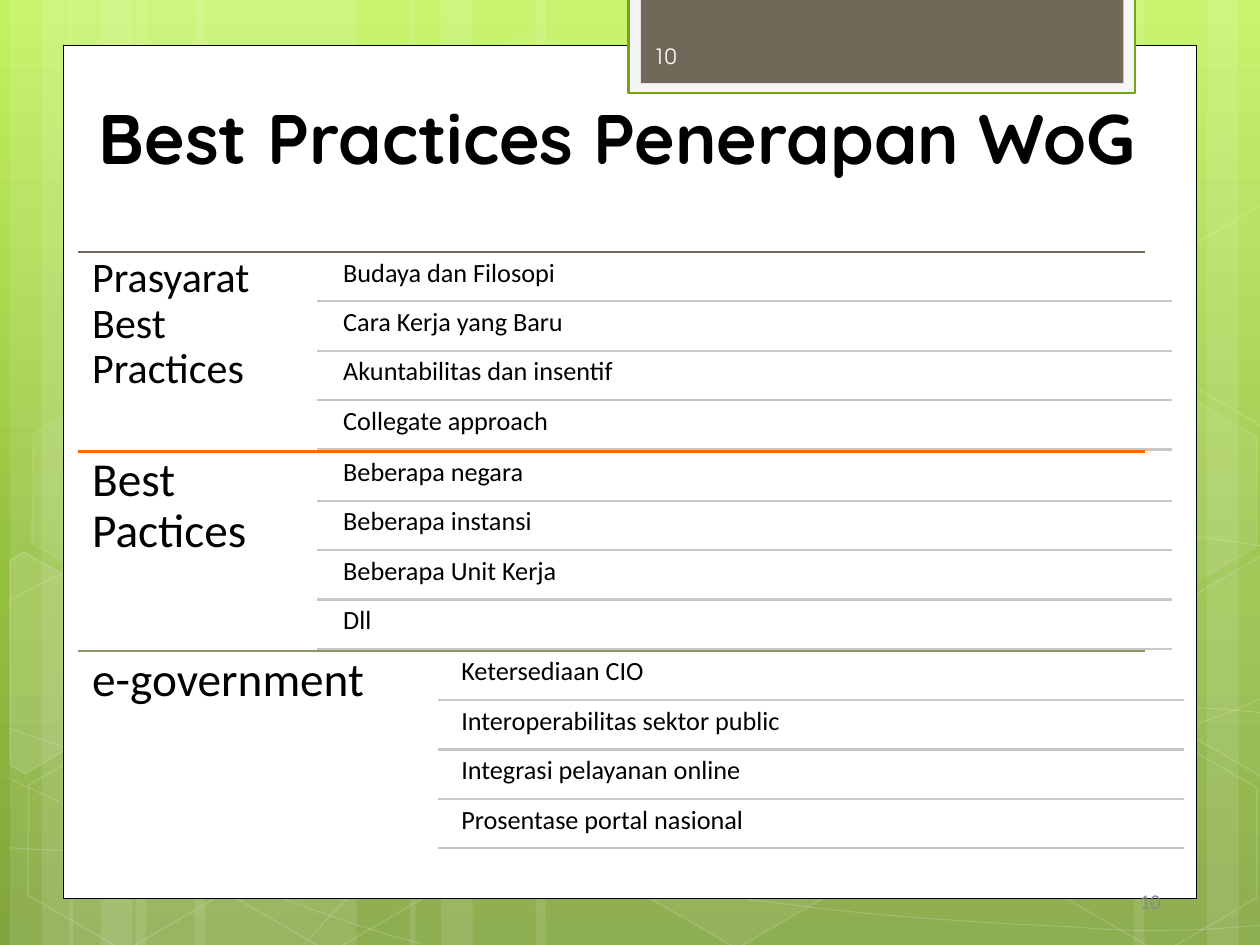
import copy
import math
from dataclasses import dataclass

import lxml.etree
import pptx
import pptx.dml.color
import pptx.enum.shapes
import pptx.enum.text
import pptx.oxml.ns
import pptx.util

Cm = pptx.util.Cm
Pt = pptx.util.Pt
qn = pptx.oxml.ns.qn
SHAPE = pptx.enum.shapes.MSO_SHAPE
ALIGN = pptx.enum.text.PP_ALIGN
ANCHOR = pptx.enum.text.MSO_ANCHOR


@dataclass(frozen=True)
class Theme:
    white: str = "FFFFFF"
    ink: str = "000000"
    brown: str = "71685A"
    orange: str = "FF6700"
    olive: str = "909465"
    tab_back: str = "F5F5F5"
    tab_edge: str = "74A510"
    row_rule: str = "C9C7C4"
    footer: str = "8B8B8B"
    tab_text: str = "FEFEFE"
    gradient: tuple = ((0, "C3F35F"), (0.62, "93BF3F"), (1, "81A53E"))
    title_font: str = "Quicksand"
    body_font: str = "Calibri"
    tab_font: str = "TeX Gyre Adventor"
    title_size: float = 40
    item_size: float = 15
    number_size: float = 12
    rule_width: float = 1.25


THEME = Theme()
WIDTH, HEIGHT = 25.4, 19.05
SECTION_HEIGHT = 4.02
TILT = 30

# Bezier chains in cm: a start point, then three points per segment
CURVES = [
    [(.18, 17.09), (1.55, 17.17), (2.92, 17.25), (4.83, 17.22), (6.73, 17.2), (9.09, 17.15),
     (11.63, 16.89), (14.17, 16.64), (17.78, 16.15), (20.12, 15.67), (22.43, 15.19),
     (24.82, 14.43), (25.58, 14)],
    [(.18, 12.12), (.91, 11.71), (1.65, 11.33), (3.07, 10.95), (4.52, 10.57), (6.58, 10.01),
     (8.81, 9.83), (11.07, 9.65), (13.82, 9.63), (16.61, 9.83), (19.41, 10.03),
     (24.05, 10.82), (25.58, 11.02)],
    [(.15, 15.67), (3.07, 17.07), (6.27, 18.47), (8.48, 19.02)],
    [(.18, 14.68), (.97, 14.96), (1.78, 15.24), (3.25, 15.65), (4.72, 16.03), (6.93, 16.66),
     (9.07, 17.09), (11.18, 17.53), (13.84, 17.98), (15.95, 18.24), (18.06, 18.52),
     (20.32, 18.62), (21.67, 18.69), (22.99, 18.8), (23.34, 18.75), (24, 18.75),
     (24.66, 18.72), (25.12, 18.67), (25.58, 18.64)],
    [(6.15, 19.02), (6.6, 18.52), (7.06, 18.01), (7.67, 17.55), (8.28, 17.09), (9.14, 16.59),
     (9.86, 16.23), (10.57, 15.88), (11, 15.72), (11.94, 15.47), (12.85, 15.21),
     (14.55, 14.86), (15.44, 14.68), (16.36, 14.5), (16.48, 14.5), (17.27, 14.45),
     (18.06, 14.38), (19.3, 14.3), (20.17, 14.27), (21.5, 14.25), (22.8, 14.27),
     (24.21, 14.27), (24.66, 14.3), (25.1, 14.33), (25.55, 14.38)],
]
# Left, top, fill opacity, line opacity
HEXAGONS = [(8.48, .91, 4, 8), (12.62, 14.96, 6, 12), (.28, 15.01, 0, 12), (.36, 7.92, 7, 8),
            (4.42, 15.04, 0, 12), (19.13, 11.51, 10, 12), (21.18, 15.06, 0, 12),
            (21.18, 7.98, 7, 8)]
LEFT_CUT = [(.2, 11.3), (.48, 11.13), (2.44, 12.24), (2.41, 14.48), (.51, 15.6), (.2, 15.42)]
RIGHT_CUT = [(23.52, 12.32), (25.43, 11.2), (25.63, 11.33), (25.63, 15.57), (25.45, 15.67),
             (23.52, 14.55)]
CUT_HEXAGONS = [(LEFT_CUT, 10), (RIGHT_CUT, 4), ([(x, y - 7.07) for x, y in RIGHT_CUT], 0)]

# Heading, size, rule colour, heading width, item rule left and right, text indent, items
SECTIONS = [
    ("Prasyarat Best Practices", 24, THEME.brown, 4.29, 6.4, 23.62, .37,
     ["Budaya dan Filosopi", "Cara Kerja yang Baru", "Akuntabilitas dan insentif",
      "Collegate approach"]),
    ("Best Pactices", 27, THEME.orange, 4.29, 6.4, 23.62, .37,
     ["Beberapa negara", "Beberapa instansi", "Beberapa Unit Kerja", "Dll"]),
    ("e-government", 27, THEME.olive, 6.48, 8.83, 23.86, .32,
     ["Ketersediaan CIO", "Interoperabilitas sektor public", "Integrasi pelayanan online",
      "Prosentase portal nasional"]),
]


def color(value):
    return pptx.dml.color.RGBColor.from_string(value)


def paint(shape, fill=None, line=None, width=1, fill_alpha=100, line_alpha=100):
    shape.shadow.inherit = False
    for target, value in ((shape.fill, fill), (shape.line.fill, line)):
        if value:
            target.solid()
            target.fore_color.rgb = color(value)
        else:
            target.background()
    if line:
        shape.line.width = Pt(width)
    for parent, alpha in (("", fill_alpha), ("a:ln/", line_alpha)):
        tag = "/".join(qn(part) for part in (parent + "a:solidFill/a:srgbClr").split("/"))
        node = shape.element.spPr.find(tag)
        if node is not None and alpha < 100:
            lxml.etree.SubElement(node, qn("a:alpha")).set("val", str(alpha * 1000))


def add_box(slide, kind, box, **style):
    shape = slide.shapes.add_shape(kind, *map(Cm, box))
    paint(shape, **style)
    return shape


def add_outline(slide, points, close, **style):
    points = [(Cm(x), Cm(y)) for x, y in points]
    builder = slide.shapes.build_freeform(*points[0])
    builder.add_line_segments(points[1:], close=close)
    shape = builder.convert_to_shape()
    paint(shape, **style)
    return shape


def add_curve(slide, points, **style):
    shape = add_outline(slide, points, False, **style)
    # Every three line ends become one Bezier segment
    outline = next(shape.element.iter(qn("a:path")))
    ends = outline.findall(qn("a:lnTo"))
    for index in range(0, len(ends), 3):
        segment = lxml.etree.SubElement(outline, qn("a:cubicBezTo"))
        for end in ends[index:index + 3]:
            segment.append(end[0])
            outline.remove(end)


def turn(x, y, degrees):
    cosine, sine = math.cos(math.radians(degrees)), math.sin(math.radians(degrees))
    return x * cosine - y * sine, x * sine + y * cosine


def add_tilted_outline(slide, points, **style):
    shape = add_outline(slide, [turn(x, y, -TILT) for x, y in points], True, **style)
    x, y = turn(shape.left + shape.width / 2, shape.top + shape.height / 2, TILT)
    shape.left, shape.top = round(x - shape.width / 2), round(y - shape.height / 2)
    shape.rotation = TILT


def add_rule(slide, left, right, top, value):
    rule = slide.shapes.add_connector(
        pptx.enum.shapes.MSO_CONNECTOR.STRAIGHT, Cm(left), Cm(top), Cm(right), Cm(top))
    rule.line.color.rgb = color(value)
    rule.line.width = Pt(THEME.rule_width)
    lxml.etree.SubElement(rule.element.spPr, qn("a:effectLst"))


def write(shape, text, size, font, value, inset=None, anchor=ANCHOR.TOP, align=ALIGN.LEFT,
          spacing=.9, bold=False):
    frame = shape.text_frame
    frame.text = text
    frame.word_wrap = True
    frame.vertical_anchor = anchor
    if inset is not None:
        frame.margin_left = frame.margin_right = Cm(inset)
        frame.margin_top = frame.margin_bottom = Cm(inset)
    paragraph = frame.paragraphs[0]
    paragraph.alignment = align
    paragraph.line_spacing = spacing
    paragraph.font.size = Pt(size)
    paragraph.font.name = font
    paragraph.font.bold = bold
    paragraph.font.color.rgb = color(value)


def add_text(slide, box, *content, **style):
    write(slide.shapes.add_textbox(*map(Cm, box)), *content, **style)


def draw_backdrop(slide):
    # Gradient with three stops
    fill = slide.background.fill
    fill.gradient()
    fill.gradient_angle = 270
    stops = next(slide.element.iter(qn("a:gsLst")))
    stops.append(copy.deepcopy(stops[0]))
    for stop, (position, value) in zip(fill.gradient_stops, THEME.gradient):
        stop.position = position
        stop.color.rgb = color(value)
    # Vertical light bands
    left_bands = [(x + shift, w) for shift in (0, 1.19)
                  for x, w in ((2.74, 4.45), (.2, 1.27), (.84, 2.11))]
    for left, width in left_bands + [(18.62, 4.45), (24.33, 1.27), (22.86, 2.11),
                                     (10.8, 7.82), (8.26, 1.27), (8.89, 2.11)]:
        add_box(slide, SHAPE.RECTANGLE, (left, 0, width, HEIGHT), fill=THEME.white, fill_alpha=10)
    # Sweeping lines and hexagons
    for points in CURVES:
        add_curve(slide, points, line=THEME.white, width=.5, line_alpha=20)
    for left, top, alpha, line_alpha in HEXAGONS:
        hexagon = add_box(slide, SHAPE.HEXAGON, (left, top, 4.45, 3.86),
                          fill=THEME.white if alpha else None, fill_alpha=alpha,
                          line=THEME.white, line_alpha=line_alpha)
        hexagon.adjustments[0] = .285
        hexagon.rotation = TILT
    for points, alpha in CUT_HEXAGONS:
        add_tilted_outline(slide, points, fill=THEME.white if alpha else None, fill_alpha=alpha,
                           line=THEME.white, line_alpha=12)


def draw_frame(slide, left, top, width, height):
    add_box(slide, SHAPE.RECTANGLE, (left, top, width, height), fill=THEME.white,
            line=THEME.ink, width=.5)
    # Number tab
    tab = left + 11.4
    add_box(slide, SHAPE.RECTANGLE, (tab, -.05, 10.21, 1.93), fill=THEME.tab_back,
            line=THEME.tab_edge, width=THEME.rule_width)
    add_box(slide, SHAPE.RECTANGLE, (tab + .25, -.05, 9.73, 1.73), fill=THEME.brown)
    add_text(slide, (tab + .25, .62, 3.71, 1.02), "10", THEME.number_size, THEME.tab_font,
             THEME.tab_text, anchor=ANCHOR.MIDDLE, spacing=1)
    # Footer number
    add_text(slide, (left + 16.66, 17.65, 5.72, 1.02), "10", THEME.number_size, THEME.body_font,
             THEME.footer, anchor=ANCHOR.MIDDLE, align=ALIGN.RIGHT, spacing=1)


def place_title(slide, left, top, width, height):
    title = slide.shapes.title
    title.left, title.top, title.width, title.height = map(Cm, (left, top, width, height))
    write(title, "Best Practices Penerapan WoG", THEME.title_size, THEME.title_font, THEME.ink,
          anchor=ANCHOR.MIDDLE, bold=True)
    title.element.getparent().append(title.element)


def draw_section(slide, left, top, section):
    heading, size, value, heading_width, rule_left, rule_right, indent, items = section
    row = SECTION_HEIGHT / 4.04
    add_rule(slide, left, left + 21.51, top, value)
    add_text(slide, (left, top - .19, heading_width, 4.22), heading, size, THEME.body_font,
             THEME.ink, inset=.28)
    for index, item in enumerate(items):
        y = top + index * row
        add_text(slide, (rule_left + indent, y, rule_right - rule_left - indent, row), item,
                 THEME.item_size, THEME.body_font, THEME.ink, inset=.15)
        add_rule(slide, rule_left, rule_right, y + row, THEME.row_rule)


presentation = pptx.Presentation()
presentation.slide_width, presentation.slide_height = Cm(WIDTH), Cm(HEIGHT)
slide = presentation.slides.add_slide(presentation.slide_layouts[5])
draw_backdrop(slide)
draw_frame(slide, 1.27, .91, 22.86, 17.2)
place_title(slide, 1.74, 1.02, 21.89, 3.68)
for number, section in enumerate(SECTIONS):
    draw_section(slide, 1.58, 5.08 + number * SECTION_HEIGHT, section)
presentation.save("out.pptx")
